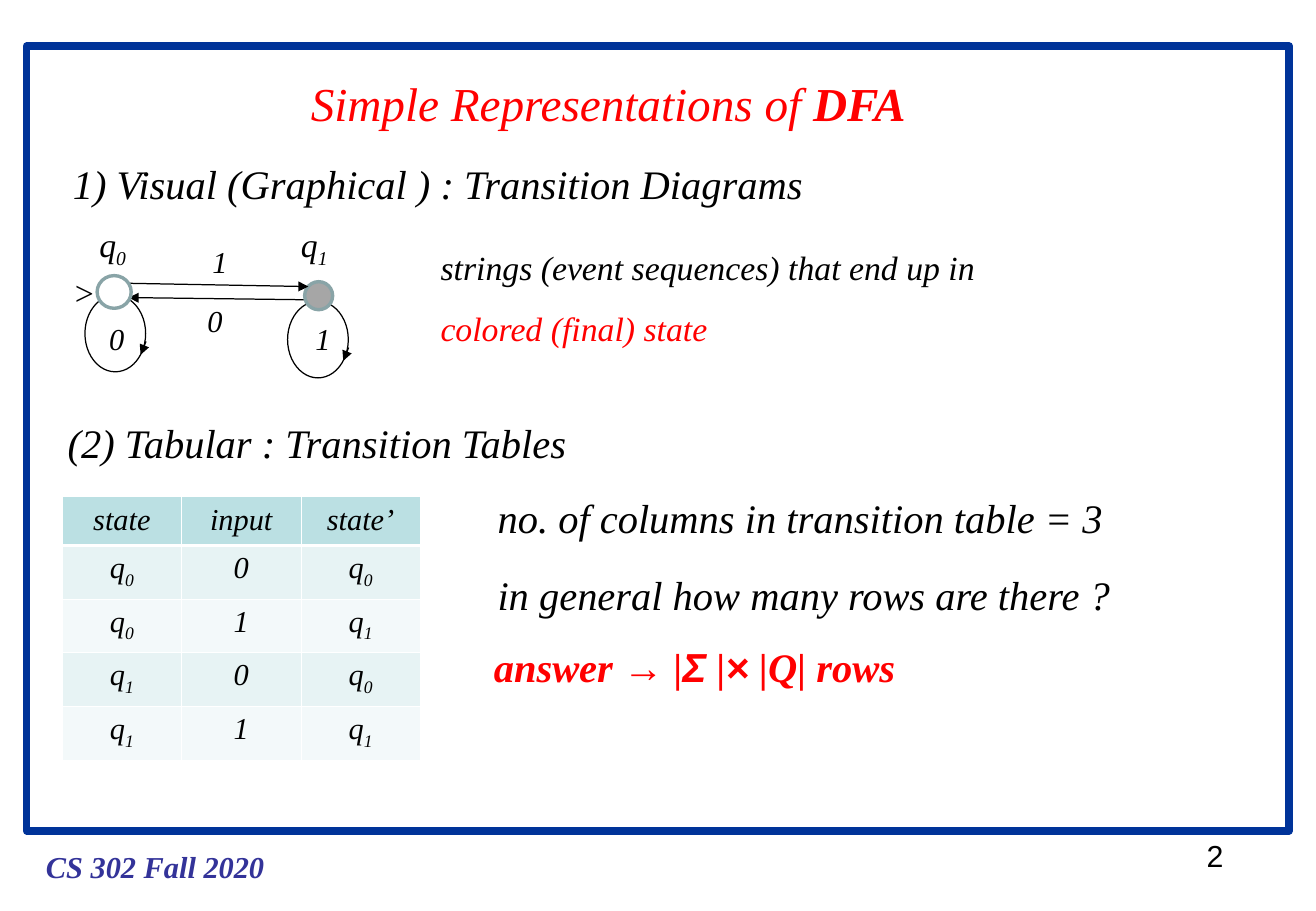
from lxml.etree import SubElement
from pptx import Presentation
from pptx.dml.color import RGBColor
from pptx.enum.shapes import MSO_CONNECTOR, MSO_SHAPE
from pptx.enum.text import MSO_ANCHOR, MSO_AUTO_SIZE, PP_ALIGN
from pptx.oxml.ns import qn
from pptx.util import Pt

COLORS = {
    "black": "000000", "white": "FFFFFF", "red": "FF0000",
    "frame": "003399", "footer": "333399",
    "ring": "89A4A7", "final": "A6A6A6",
    "head": "BBE0E3", "odd": "E7F3F4", "even": "F3F9FA",
}
SERIF, SANS = "Times New Roman", "Arial"


def rgb(name):
    return RGBColor.from_string(COLORS[name])


def sub(index):
    """Runs of a state name with its index lowered."""
    return [("q", {}), (index, {"base": -25000})]


class SlideBuilder:
    def __init__(self, slide):
        self.slide = slide
        self.shapes = slide.shapes

    def add_runs(self, p, runs, **style):
        """Add (text, changes) runs; a plain string is one run."""
        if isinstance(runs, str):
            runs = [(runs, {})]
        for text, changes in runs:
            look = {"size": 18, "font": SERIF, "color": "black",
                    "bold": False, "italic": True} | style | changes
            r = p.add_run()
            r.text = text
            r.font.size = Pt(look["size"])
            r.font.name = look["font"]
            r.font.bold = look["bold"]
            r.font.italic = look["italic"]
            r.font.color.rgb = rgb(look["color"])
            if "base" in look:
                r._r.get_or_add_rPr().set("baseline", str(look["base"]))

    def text(self, x, y, w, h, *lines, sp=None, wrap=False, spacing=None,
             indent=0, number=None, **style):
        """Fill a new text box, or the placeholder sp, one paragraph a line."""
        if sp is None:
            sp = self.shapes.add_textbox(0, 0, 0, 0)
        sp.left, sp.top, sp.width, sp.height = Pt(x), Pt(y), Pt(w), Pt(h)
        tf = sp.text_frame
        tf.word_wrap = wrap
        tf.auto_size = MSO_AUTO_SIZE.SHAPE_TO_FIT_TEXT
        tf.vertical_anchor = MSO_ANCHOR.TOP
        for i, runs in enumerate(lines):
            p = tf.add_paragraph() if i else tf.paragraphs[0]
            p.alignment = PP_ALIGN.LEFT
            p.space_before = Pt(0)
            if spacing:
                p.line_spacing = spacing
            if indent:
                p.level = 1
                pPr = p._p.get_or_add_pPr()
                pPr.set("marL", str(Pt(indent)))
                pPr.set("indent", "0")
                if number:
                    clr = SubElement(pPr, qn("a:buClr"))
                    SubElement(clr, qn("a:srgbClr"), val=COLORS["black"])
                    SubElement(pPr, qn("a:buFontTx"))
                    SubElement(pPr, qn("a:buAutoNum"), type=number)
            self.add_runs(p, runs, **style)

    def shape(self, kind, x, y, w, h, line, width, fill=None):
        sp = self.shapes.add_shape(kind, Pt(x), Pt(y), Pt(w), Pt(h))
        sp.shadow.inherit = False
        if fill:
            sp.fill.solid()
            sp.fill.fore_color.rgb = rgb(fill)
        else:
            sp.fill.background()
        sp.line.color.rgb = rgb(line)
        sp.line.width = Pt(width)

    def arrow(self, x1, y1, x2, y2):
        cx = self.shapes.add_connector(
            MSO_CONNECTOR.STRAIGHT, Pt(x1), Pt(y1), Pt(x2), Pt(y2))
        cx.line.color.rgb = rgb("black")
        cx.line.width = Pt(0.75)
        SubElement(cx.line._get_or_add_ln(), qn("a:tailEnd"), type="triangle")
        SubElement(cx._element.spPr, qn("a:effectLst"))

    def loop(self, x, y):
        """Self-transition: an ellipse with an arrowhead on its right."""
        self.shape(MSO_SHAPE.OVAL, x, y, 36, 45.4, "black", 0.75)
        self.arrow(x + 36.2, y + 27.4, x + 33, y + 35.3)

    def state(self, x, y, w, h, fill):
        self.shape(MSO_SHAPE.OVAL, x, y, w, h, "ring", 2, fill)

    def cell_border(self, cell, side, width):
        ln = SubElement(cell._tc.get_or_add_tcPr(), qn(f"a:ln{side}"),
                        w=str(Pt(width)))
        fill = SubElement(ln, qn("a:solidFill"))
        SubElement(fill, qn("a:srgbClr"), val=COLORS["white"])

    def table(self, x, y, col_w, head_h, row_h, rows):
        cols = len(rows[0])
        height = head_h + row_h * (len(rows) - 1)
        tbl = self.shapes.add_table(len(rows), cols, Pt(x), Pt(y),
                                    Pt(col_w * cols), Pt(height)).table
        tbl.horz_banding = False
        for col in tbl.columns:
            col.width = Pt(col_w)
        for i, row in enumerate(rows):
            tbl.rows[i].height = Pt(row_h if i else head_h)
            fill = ("odd" if i % 2 else "even") if i else "head"
            for j, runs in enumerate(row):
                cell = tbl.cell(i, j)
                for side in "LRTB":
                    thick = (i, side) in ((0, "B"), (1, "T"))
                    self.cell_border(cell, side, 1.47 if thick else 0.45)
                cell.fill.solid()
                cell.fill.fore_color.rgb = rgb(fill)
                p = cell.text_frame.paragraphs[0]
                p.alignment = PP_ALIGN.CENTER
                self.add_runs(p, runs)


def main():
    prs = Presentation()
    prs.slide_width, prs.slide_height = Pt(780.48), Pt(540)
    s = SlideBuilder(prs.slides.add_slide(prs.slide_layouts[1]))
    title, body = s.slide.placeholders

    s.shape(MSO_SHAPE.RECTANGLE, 15.84, 27.36, 748.8, 465.12, "frame", 4.5)
    s.text(20.2, 499, 144, 28.8, "CS 302 Fall 2020",
           color="footer", bold=True)
    s.text(708.5, 492.5, 24.5, 28.8, "2", font=SANS, italic=False)

    s.text(177.1, 40.3, 378, 41,
           [("Simple Representations of ", {}), ("DFA", {"bold": True})],
           sp=title, size=28, color="red")
    s.text(0, 76.3, 506.9, 50.4, " Visual (Graphical ) : Transition Diagrams",
           sp=body, wrap=True, spacing=1.5, indent=36,
           number="arabicParenR", size=24)
    s.text(-2.9, 229.7, 357.8, 50.4, "(2) Tabular : Transition Tables",
           spacing=1.5, indent=36, size=24)

    transitions = [("0", "0", "0"), ("0", "1", "1"),
                   ("1", "0", "0"), ("1", "1", "1")]
    s.table(36.9, 294.5, 70.8, 28.8, 31.7,
            [("state", "input", "state’")]
            + [(sub(a), symbol, sub(b)) for a, symbol, b in transitions])

    s.loop(170.6, 178.6)
    s.arrow(190.1, 177.8, 76.3, 176.4)
    s.state(180.7, 167, 16.6, 16.6, "final")
    s.arrow(68.4, 167.8, 182.9, 169.9)
    s.loop(50.4, 175)
    s.state(57.6, 163.4, 20.2, 19.4, "white")

    s.text(37.4, 157.7, 25.2, 31.7, ">", size=20, italic=False)
    for x, y, symbol in [(118.8, 140.4, "1"), (115.9, 175.7, "0"),
                         (57.6, 186.5, "0"), (180, 186.5, "1")]:
        s.text(x, y, 23, 28.8, symbol)
    for x, index in [(51.8, "0"), (171.4, "1")]:
        s.text(x, 128.9, 30.2, 34.6, sub(index), size=20)

    s.text(254.2, 131, 336.2, 79.2,
           "strings (event sequences) that end up in",
           [("colored (final) state", {"color": "red"})],
           wrap=True, spacing=1.5, size=20)
    s.text(288, 288.7, 373, 36, "no. of columns in transition table = 3",
           size=24)
    s.text(288, 334.1, 403.2, 36, "in general how many rows are there ?",
           wrap=True, size=24)
    sans = {"font": SANS}
    s.text(285.8, 377.3, 261.4, 36,
           [("answer ", {}), ("→", sans), (" |", {}), ("Σ", sans),
            (" |", {}), ("×", sans), (" |Q| rows", {})],
           wrap=True, size=24, color="red", bold=True)

    prs.save("out.pptx")


if __name__ == "__main__":
    main()
